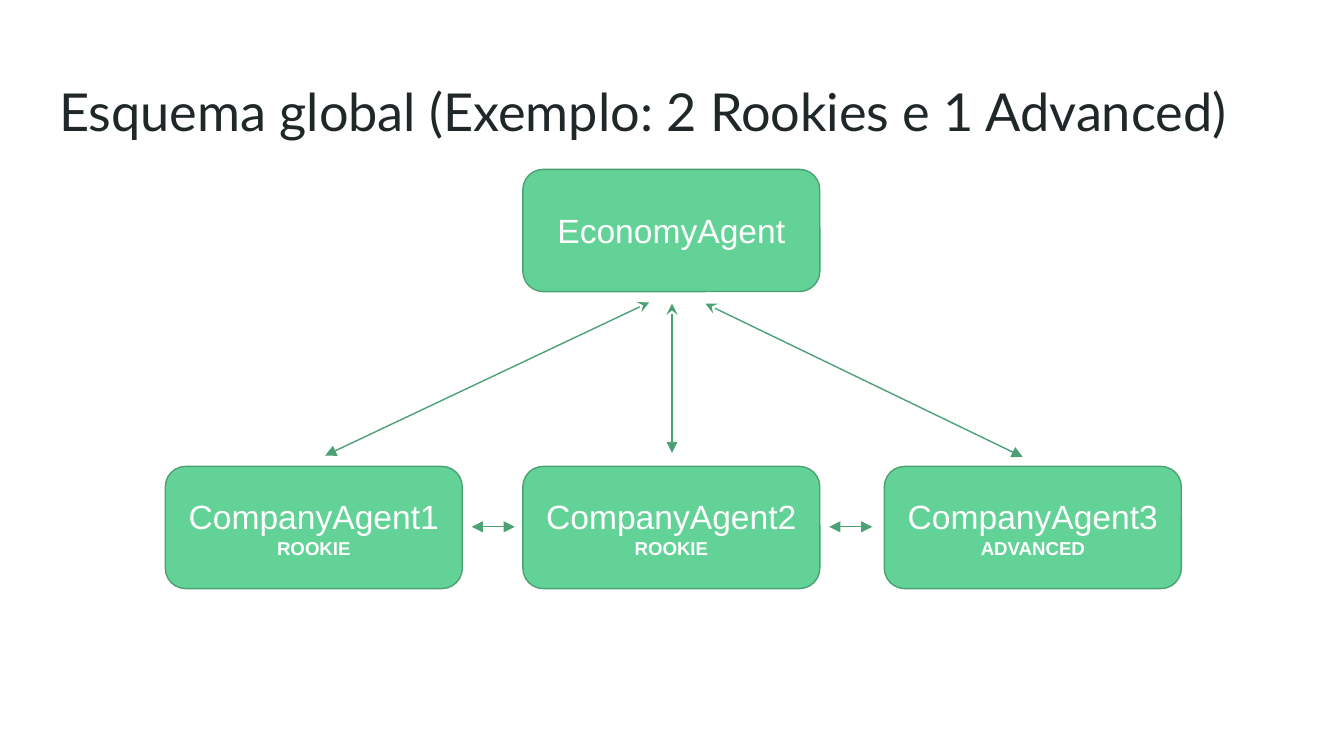
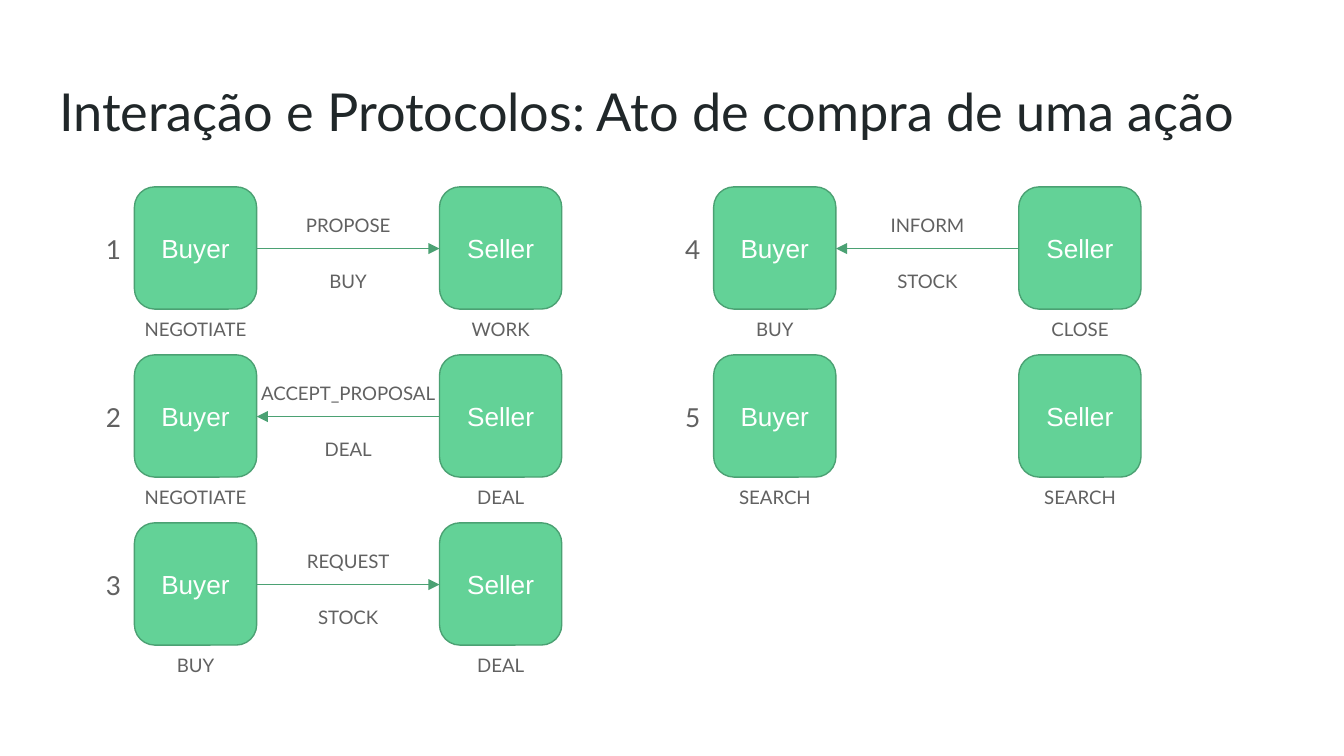
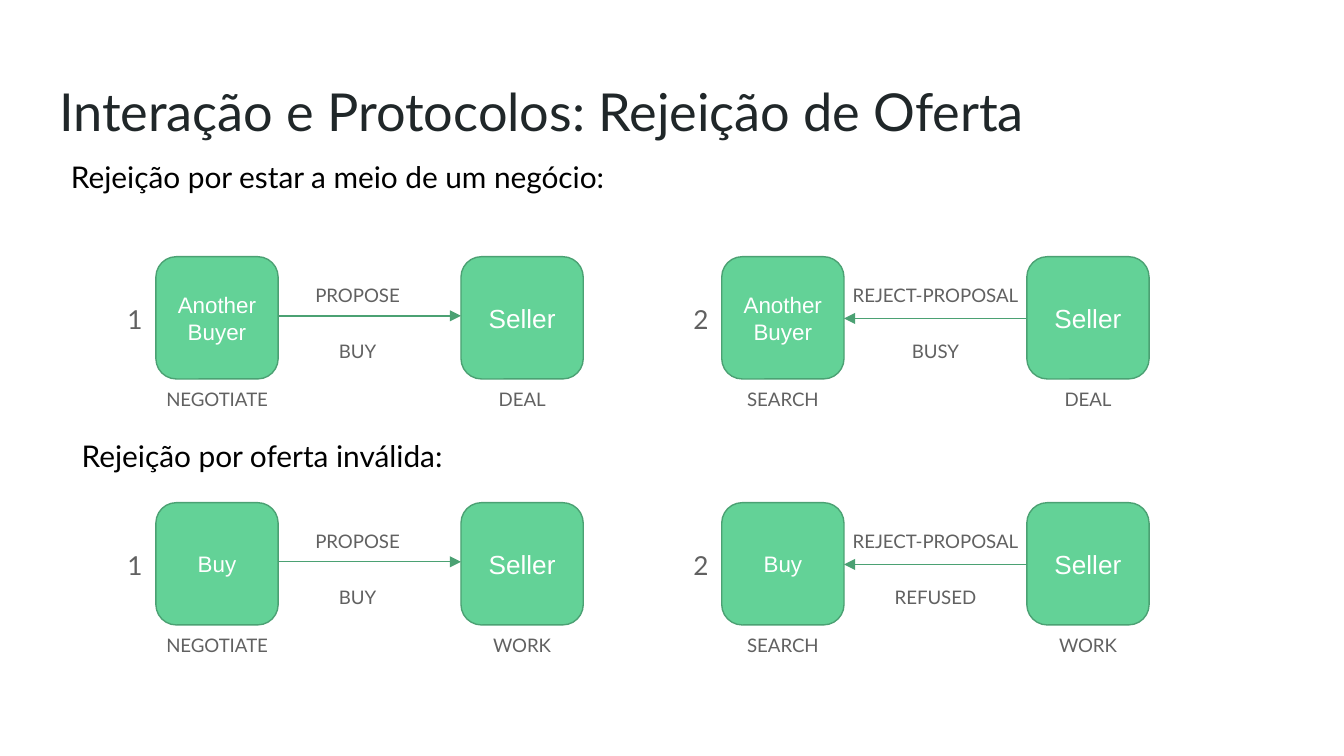
import pptx
import pptx.util
import pptx.oxml
import pptx.oxml.ns
from pptx.dml.color import RGBColor
from pptx.enum.shapes import MSO_CONNECTOR, MSO_SHAPE
from pptx.enum.text import MSO_ANCHOR, MSO_AUTO_SIZE, PP_ALIGN
from pptx.util import Inches, Pt

GREEN = RGBColor(0x63, 0xD2, 0x97)
EDGE = RGBColor(0x4B, 0xA1, 0x73)
DARK = RGBColor(0x20, 0x27, 0x29)
GREY = RGBColor(0x61, 0x61, 0x61)
BLACK = RGBColor(0, 0, 0)
WHITE = RGBColor(0xFF, 0xFF, 0xFF)
HEAD, BODY = "Lato", "Arial"

# Content: agents with their left edges
ROOT = "EconomyAgent"
TEAM = [("CompanyAgent1 ", "ROOKIE", 1.23), ("CompanyAgent2 ", "ROOKIE", 3.89),
        ("CompanyAgent3 ", "ADVANCED", 6.58)]
# Arrows from the root to each agent
LINKS = [(4.83, 2.25, 2.42, 3.39), (5.25, 2.26, 7.61, 3.4), (5, 2.26, 5, 3.37)]

# Content: (column, row, number, buyer, buyer state, seller state, arrow, labels)
TRADE = [
    (0, 0, "1", "Buyer", "NEGOTIATE", "WORK", "right", ["PROPOSE", "BUY"]),
    (0, 1, "2", "Buyer", "NEGOTIATE", "DEAL", "left", ["ACCEPT_PROPOSAL", "DEAL"]),
    (0, 2, "3", "Buyer", "BUY", "DEAL", "right", ["REQUEST", "STOCK"]),
    (1, 0, "4", "Buyer", "BUY", "CLOSE", "left", ["INFORM", "STOCK"]),
    (1, 1, "5", "Buyer", "SEARCH", "SEARCH", None, []),
]
REJECT = [
    (0, 0, "1", "Another Buyer", "NEGOTIATE", "DEAL", "right", ["PROPOSE", "BUY"]),
    (1, 0, "2", "Another Buyer", "SEARCH", "DEAL", "left", ["REJECT-PROPOSAL", "BUSY"]),
    (0, 1, "1", "Buy", "NEGOTIATE", "WORK", "right", ["PROPOSE", "BUY"]),
    (1, 1, "2", "Buy", "SEARCH", "WORK", "left", ["REJECT-PROPOSAL", "REFUSED"]),
]
CASES = [("Rejeição por estar a meio de um negócio:", 0.43, 1.08, 7.8),
         ("Rejeição por oferta inválida:", 0.51, 3.16, 4.24)]

SIDE = 0.91          # height of every box, width of the square ones
REACH = 2.27         # from buyer to seller
WIDE = 1.52          # width of a label


def style(run, size, color, font=HEAD, bold=False):
    run.font.size, run.font.name, run.font.bold = Pt(size), font, bold
    run.font.color.rgb = color


def set_frame(frame, anchor):
    frame.word_wrap = True
    frame.auto_size = MSO_AUTO_SIZE.NONE
    frame.vertical_anchor = anchor
    frame.margin_left = frame.margin_right = Inches(0.1)
    frame.margin_top = frame.margin_bottom = Inches(0.1)


def add_page(deck, title):
    page = deck.slides.add_slide(deck.slide_layouts[5])
    head = page.shapes.title
    head.left, head.top = Inches(0.34), Inches(0.49)
    head.width, head.height = Inches(9.32), Inches(0.63)
    head.text_frame.text = title
    set_frame(head.text_frame, MSO_ANCHOR.TOP)
    par = head.text_frame.paragraphs[0]
    par.alignment = PP_ALIGN.LEFT
    style(par.runs[0], 28, DARK)
    return page


def add_box(page, x, y, width, parts):
    """Green box; parts are (text, size, bold) runs."""
    box = page.shapes.add_shape(MSO_SHAPE.ROUNDED_RECTANGLE, Inches(x), Inches(y),
                                Inches(width), Inches(SIDE))
    box.shadow.inherit = False
    box.fill.solid()
    box.fill.fore_color.rgb = GREEN
    box.line.color.rgb, box.line.width = EDGE, Pt(0.75)
    set_frame(box.text_frame, MSO_ANCHOR.MIDDLE)
    par = box.text_frame.paragraphs[0]
    par.alignment = PP_ALIGN.CENTER
    for text, size, bold in parts:
        run = par.add_run()
        run.text = text
        style(run, size, WHITE, BODY, bold)


def add_text(page, x, y, width, height, lines, size, color=GREY,
             align=PP_ALIGN.CENTER, space=1.15):
    frame = page.shapes.add_textbox(Inches(x), Inches(y), Inches(width),
                                    Inches(height)).text_frame
    set_frame(frame, MSO_ANCHOR.TOP)
    frame.text = "\n".join(lines)
    for i, par in enumerate(frame.paragraphs):
        par.alignment, par.line_spacing = align, space
        par.space_before = Pt(16 if i else 0)
        style(par.runs[0], size, color)


def add_arrow(page, x1, y1, x2, y2, start=None):
    line = page.shapes.add_connector(MSO_CONNECTOR.STRAIGHT, Inches(x1), Inches(y1),
                                     Inches(x2), Inches(y2))
    line.line.color.rgb, line.line.width = EDGE, Pt(0.75)
    stroke = line.line._get_or_add_ln()
    for tag, kind in (("a:headEnd", start), ("a:tailEnd", "triangle")):
        if kind:
            end = pptx.oxml.ns.qn(tag)
            stroke.append(stroke.makeelement(end, {"type": kind}))
    props = line._element.spPr
    props.append(props.makeelement(pptx.oxml.ns.qn("a:effectLst"), {}))


def add_steps(page, steps, left, top, over, down, size, inset, drop):
    """Place buyer and seller pairs on a grid.

    inset and drop place the label and the arrow of steps that point right.
    """
    for col, row, num, buyer, state, other, way, labels in steps:
        x, y = left + col * over, top + row * down
        far = x + REACH
        add_text(page, x - 0.31, y + 0.21, 0.25, 0.4, [num], 14, align=PP_ALIGN.LEFT)
        add_box(page, x, y, SIDE, [(buyer, size, False)])
        add_box(page, far, y, SIDE, [("Seller", 14, False)])
        for start, word in ((x, state), (far, other)):
            add_text(page, start + (SIDE - WIDE) / 2, y + 0.85, WIDE, 0.4, [word], 10)
        if way == "right":
            add_arrow(page, x + SIDE, y + drop, far, y + drop)
            add_text(page, x + inset, y + 0.08, WIDE, 0.4, labels, 10)
        elif way == "left":
            add_arrow(page, far, y + 0.46, x + SIDE, y + 0.46)
            add_text(page, x + 0.83, y + 0.08, WIDE, 0.4, labels, 10)


def main():
    deck = pptx.Presentation()
    deck.slide_width, deck.slide_height = Inches(10), Inches(10 * 9 / 16)

    # Agent tree
    page = add_page(deck, "Esquema global (Exemplo: 2 Rookies e 1 Advanced)")
    width, base = 2.21, 3.47
    add_box(page, 3.89, 1.26, width, [(ROOT, 18, False)])
    for name, level, x in TEAM:
        add_box(page, x, base, width, [(name, 18, False), (level, 10, True)])
    for name, level, x in TEAM[:-1]:
        edge, mid = x + width, base + 0.45
        add_arrow(page, edge + 0.39, mid, edge + 0.07, mid, "triangle")
    for link in LINKS:
        add_arrow(page, *link, "stealth")

    # Purchase steps
    page = add_page(deck, "Interação e Protocolos: Ato de compra de uma ação")
    add_steps(page, TRADE, 1, 1.39, 4.31, 1.25, 14, 0.83, 0.46)

    # Rejection cases
    page = add_page(deck, "Interação e Protocolos: Rejeição de Oferta")
    add_steps(page, REJECT, 1.16, 1.91, 4.21, 1.83, 12, 0.74, 0.44)
    for text, x, y, wide in CASES:
        add_text(page, x, y, wide, 0.49, [text], 16, BLACK, PP_ALIGN.LEFT, 1.0)

    deck.save("out.pptx")


if __name__ == "__main__":
    main()
